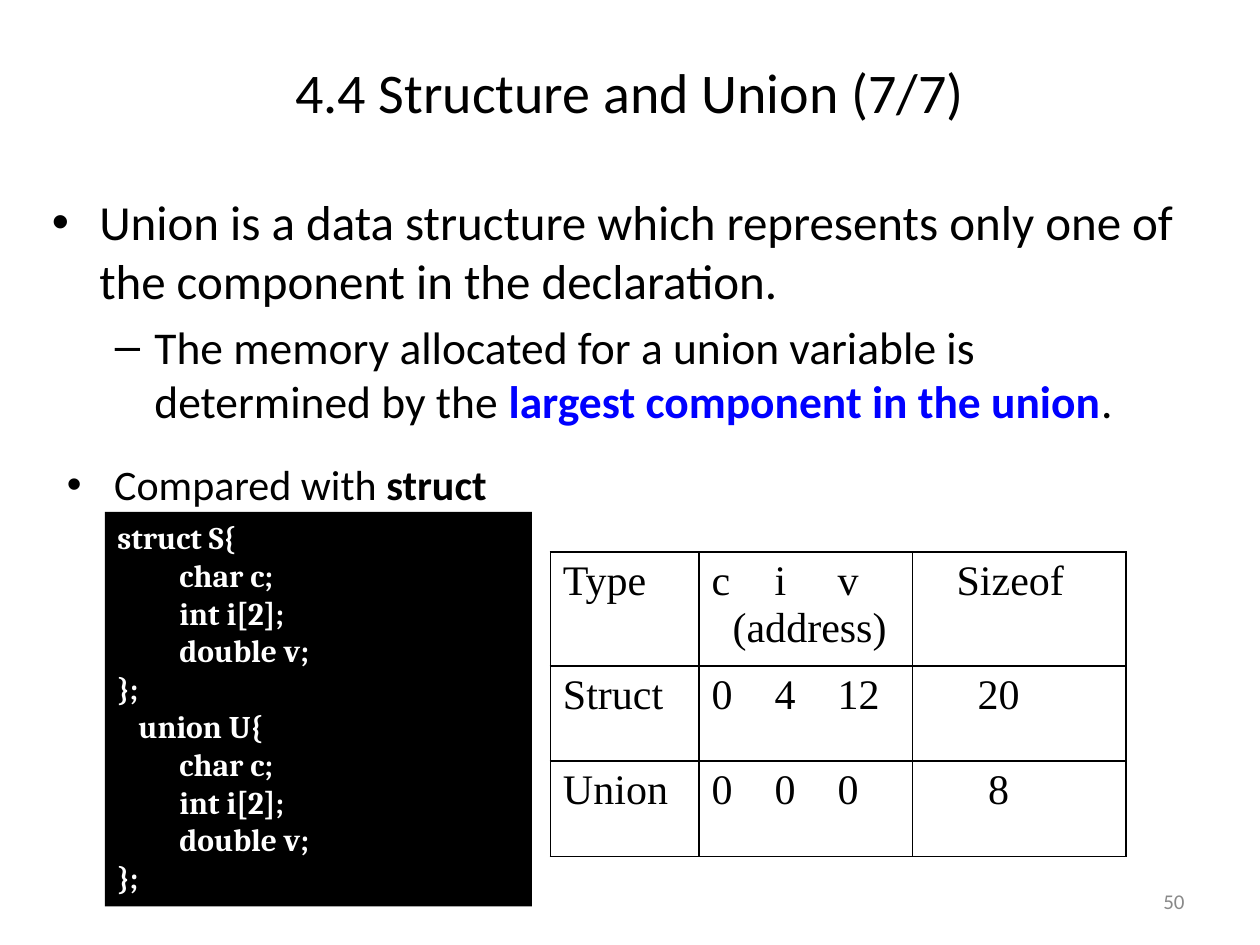
from lxml import etree
from pptx import Presentation
from pptx.dml.color import RGBColor
from pptx.enum.shapes import MSO_SHAPE
from pptx.enum.text import MSO_ANCHOR, MSO_AUTO_SIZE, PP_ALIGN
from pptx.oxml.ns import qn
from pptx.util import Pt

LEFT, CENTER, RIGHT = PP_ALIGN.LEFT, PP_ALIGN.CENTER, PP_ALIGN.RIGHT
TOP, MIDDLE = MSO_ANCHOR.TOP, MSO_ANCHOR.MIDDLE
NO_FIT = MSO_AUTO_SIZE.NONE
RECTANGLE = MSO_SHAPE.RECTANGLE

THEME = {
    "black": RGBColor(0, 0, 0),
    "white": RGBColor(255, 255, 255),
    "blue": RGBColor(0, 0, 255),
    "gray": RGBColor(0x89, 0x89, 0x89),
    "sans": "Calibri", "code": "Cambria", "table": "Times New Roman",
    "title_size": 32, "lead_size": 28, "detail_size": 26,
    "compare_size": 24, "table_size": 24, "code_size": 18, "number_size": 12,
}

TITLE = "4.4 Structure and Union (7/7)"
NUMBER = "50"
# Runs are (text, colour, bold)
LEAD = [("Union is a data structure which represents only one of "
         "the component in the declaration.", "black", False)]
DETAIL = [("The memory allocated for a union variable is determined by the ",
           "black", False),
          ("largest component in the union", "blue", True),
          (".", "black", False)]
COMPARE = [("Compared with ", "black", False), ("struct", "black", True)]

# Declarations as (opening line, its indent); both have the same members
DECLARATIONS = [("struct S{", 0), ("union U{", 12)]
MEMBERS = ["char c;", "int i[2];", "double v;"]
MEMBER_INDENT = 35.5

# Each cell is a list of (text, indent) lines
TABLE = [
    [[("Type", 0)], [("c\ti\tv", 0), ("(address)", 12)], [("Sizeof", 18)]],
    [[("Struct", 0)], [("0\t4\t12", 0)], [("20", 30)]],
    [[("Union", 0)], [("0\t0\t0", 0)], [("8", 36)]],
]
COLUMN_WIDTHS = [85, 122, 122]
ROW_HEIGHTS = [65, 54.5, 54.5]
ADDRESS_TABS = [48.5, 89]


def place(shape, left, top, width, height):
    shape.left, shape.top = Pt(left), Pt(top)
    shape.width, shape.height = Pt(width), Pt(height)


def prepare(tf, anchor):
    tf.word_wrap = True
    tf.auto_size = NO_FIT
    tf.vertical_anchor = anchor


def indent(p, margin, first=0):
    pPr = p._p.get_or_add_pPr()
    pPr.set("marL", str(Pt(margin)))
    pPr.set("indent", str(Pt(first)))


def add_run(p, text, font, size, color="black", bold=False):
    r = p.add_run()
    r.text = text
    r.font.name, r.font.size, r.font.bold = font, Pt(size), bold
    r.font.color.rgb = THEME[color]


def add_bullet(p, runs, size, level, margin, hanging):
    p.level = level
    indent(p, margin, -hanging)
    for text, color, bold in runs:
        add_run(p, text, THEME["sans"], size, color, bold)


def add_lines(tf, lines, font, size, color="black", bold=False):
    for i, (text, margin) in enumerate(lines):
        p = tf.paragraphs[0] if i == 0 else tf.add_paragraph()
        p.alignment = LEFT
        indent(p, margin)
        add_run(p, text, font, size, color, bold)


def add_center_tabs(p, stops):
    tabs = etree.SubElement(p._p.get_or_add_pPr(), qn("a:tabLst"))
    for stop in stops:
        etree.SubElement(tabs, qn("a:tab"), pos=str(Pt(stop)), algn="ctr")


def add_borders(cell):
    tcPr = cell._tc.get_or_add_tcPr()
    for side in ("a:lnL", "a:lnR", "a:lnT", "a:lnB"):
        ln = etree.SubElement(tcPr, qn(side), w=str(Pt(1)))
        fill = etree.SubElement(ln, qn("a:solidFill"))
        etree.SubElement(fill, qn("a:srgbClr"), val=str(THEME["black"]))


def add_bodies(lead, compare):
    place(lead, 22.5, 106, 672, 161)
    place(compare, 31, 258.5, 664.5, 51)
    for body in (lead, compare):
        prepare(body.text_frame, TOP)
    p = lead.text_frame.paragraphs[0]
    add_bullet(p, LEAD, THEME["lead_size"], 0, 27, 27)
    p = lead.text_frame.add_paragraph()
    add_bullet(p, DETAIL, THEME["detail_size"], 1, 58.5, 22.5)
    p = compare.text_frame.paragraphs[0]
    add_bullet(p, COMPARE, THEME["compare_size"], 0, 27, 27)


def add_code(s):
    sp = s.shapes.add_shape(RECTANGLE, Pt(60), Pt(292.5), Pt(244), Pt(225.5))
    sp.shadow.inherit = False
    sp.fill.solid()
    sp.fill.fore_color.rgb = THEME["black"]
    sp.line.fill.background()
    prepare(sp.text_frame, TOP)
    lines = []
    for opening, margin in DECLARATIONS:
        lines.append((opening, margin))
        lines += [(member, MEMBER_INDENT) for member in MEMBERS]
        lines.append(("};", 0))
    add_lines(sp.text_frame, lines, THEME["code"], THEME["code_size"],
              "white", True)


def add_size_table(s):
    table = s.shapes.add_table(
        len(TABLE), len(COLUMN_WIDTHS), Pt(314.5), Pt(315.5),
        Pt(sum(COLUMN_WIDTHS)), Pt(sum(ROW_HEIGHTS))).table
    table.first_row = table.horz_banding = False
    for column, width in zip(table.columns, COLUMN_WIDTHS):
        column.width = Pt(width)
    for i, (cells, height) in enumerate(zip(TABLE, ROW_HEIGHTS)):
        table.rows[i].height = Pt(height)
        for j, lines in enumerate(cells):
            cell = table.cell(i, j)
            add_borders(cell)
            cell.fill.solid()
            cell.fill.fore_color.rgb = THEME["white"]
            add_lines(cell.text_frame, lines, THEME["table"],
                      THEME["table_size"])
            if j == 1:
                add_center_tabs(cell.text_frame.paragraphs[0], ADDRESS_TABS)


def main():
    prs = Presentation()
    prs.slide_width, prs.slide_height = Pt(720), Pt(540)
    s = prs.slides.add_slide(prs.slide_layouts.get_by_name("Two Content"))
    title, lead, compare = s.placeholders

    place(title, 0, 21.5, 720, 61)
    prepare(title.text_frame, MIDDLE)
    p = title.text_frame.paragraphs[0]
    p.alignment = CENTER
    add_run(p, TITLE, THEME["sans"], THEME["title_size"])

    add_bodies(lead, compare)
    add_code(s)
    add_size_table(s)

    number = s.shapes.add_textbox(Pt(516), Pt(500.5), Pt(168), Pt(29))
    prepare(number.text_frame, MIDDLE)
    p = number.text_frame.paragraphs[0]
    p.alignment = RIGHT
    add_run(p, NUMBER, THEME["sans"], THEME["number_size"], "gray")

    prs.save("out.pptx")


if __name__ == "__main__":
    main()
